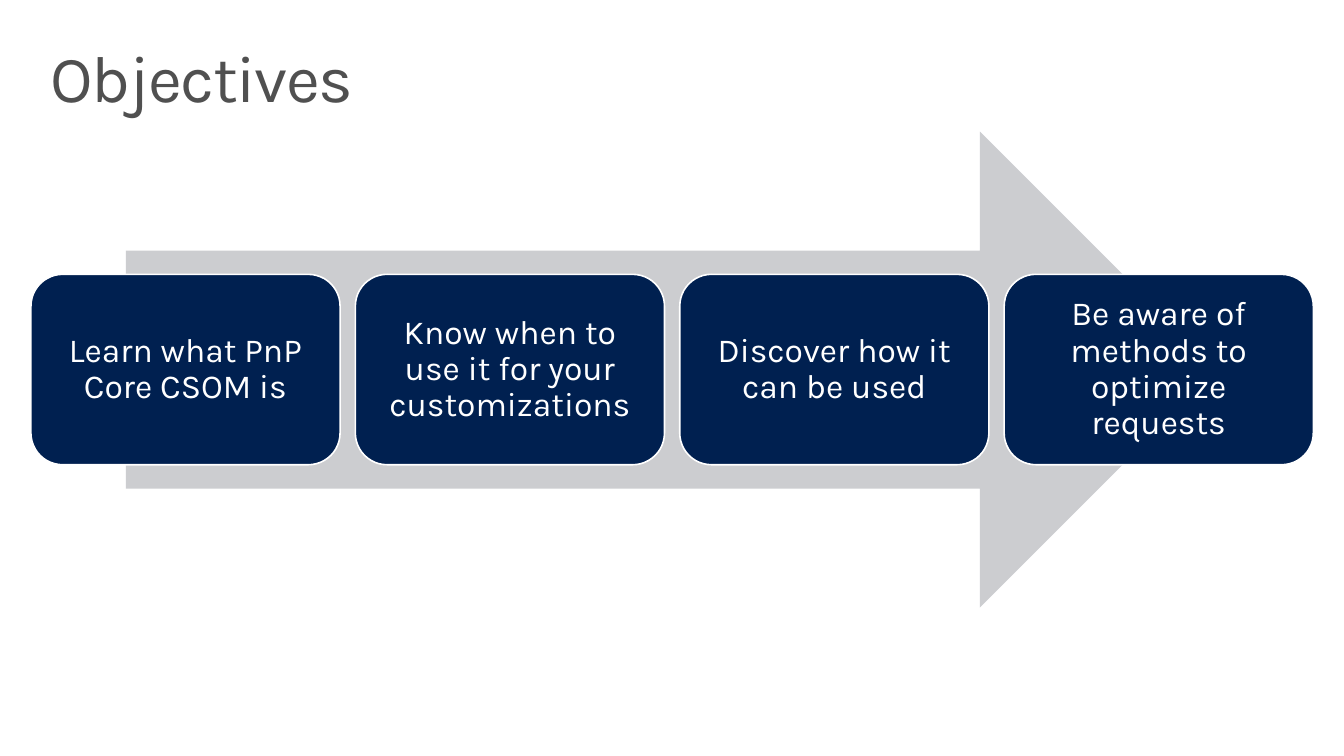
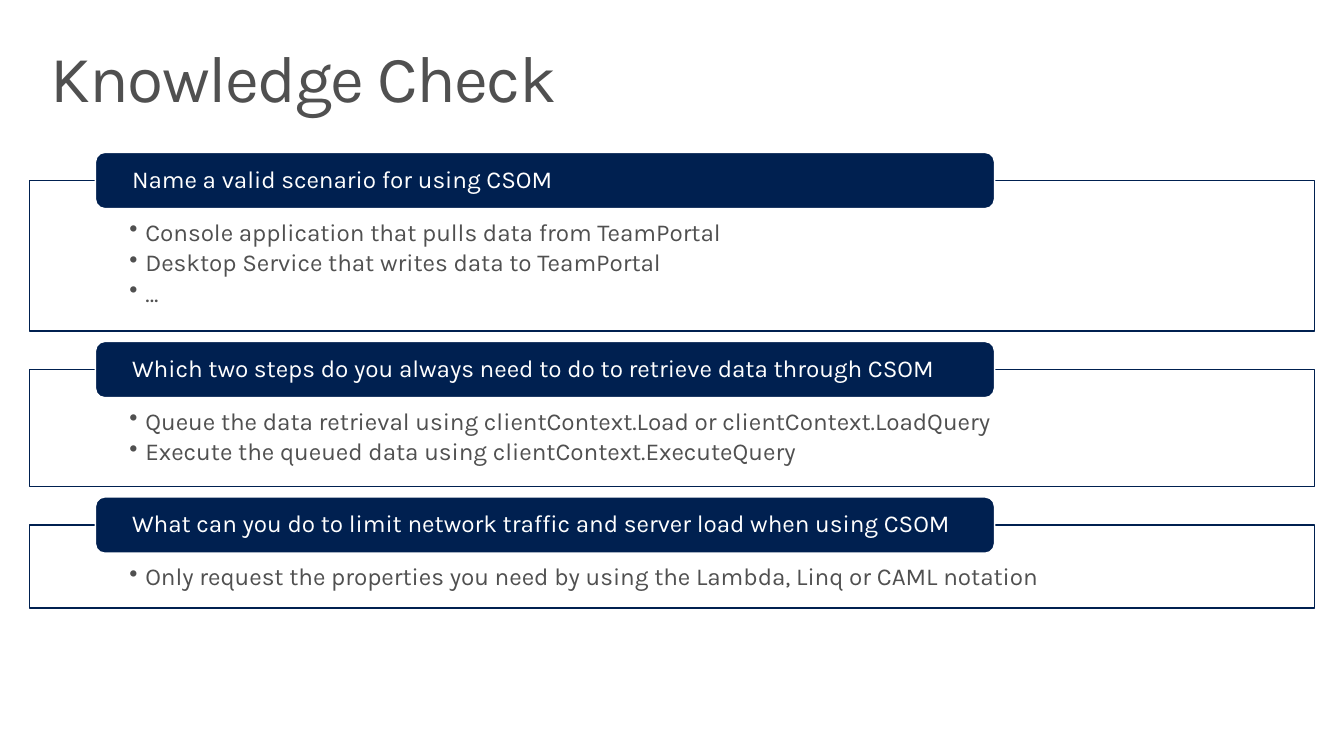
from dataclasses import dataclass

from lxml.etree import SubElement
from pptx import Presentation
from pptx.dml.color import RGBColor
from pptx.enum.shapes import MSO_SHAPE as Shape
from pptx.enum.text import MSO_ANCHOR as Anchor, PP_ALIGN as Align
from pptx.oxml.ns import qn
from pptx.util import Pt


@dataclass(frozen=True)
class Theme:
    navy: RGBColor = RGBColor(0x00, 0x20, 0x50)
    white: RGBColor = RGBColor(0xFF, 0xFF, 0xFF)
    arrow_gray: RGBColor = RGBColor(0xCC, 0xCD, 0xD0)
    text_gray: RGBColor = RGBColor(0x50, 0x50, 0x50)
    font: str = "Karla"
    title_size: float = 35.3
    card_size: float = 18
    body_size: float = 13
    line_width: float = 0.85


theme = Theme()


def add_block(slide, kind, left, top, width, height, fill, line=None):
    block = slide.shapes.add_shape(kind, Pt(left), Pt(top), Pt(width), Pt(height))
    block.shadow.inherit = False
    block.fill.solid()
    block.fill.fore_color.rgb = fill
    if line is None:
        block.line.fill.background()
    else:
        block.line.color.rgb = line
        block.line.width = Pt(theme.line_width)
    return block


def write(block, lines, size, color, insets, anchor=Anchor.MIDDLE,
          align=Align.LEFT, bullet=None, space_after=0):
    frame = block.text_frame
    left, top, right, bottom = map(Pt, insets)
    frame_format = {
        "word_wrap": True, "vertical_anchor": anchor, "margin_left": left,
        "margin_top": top, "margin_right": right, "margin_bottom": bottom,
    }
    for name, value in frame_format.items():
        setattr(frame, name, value)
    for index, line in enumerate(lines):
        paragraph = frame.add_paragraph() if index else frame.paragraphs[0]
        if bullet:
            properties = paragraph._p.get_or_add_pPr()
            properties.set("marL", str(Pt(8.6)))
            properties.set("indent", str(-Pt(8.6)))
            SubElement(properties, qn("a:buChar")).set("char", bullet)
        paragraph.alignment = align
        paragraph.line_spacing = 0.9
        paragraph.space_after = Pt(space_after)
        run = paragraph.add_run()
        run.text = line
        for name, value in {"name": theme.font, "size": Pt(size)}.items():
            setattr(run.font, name, value)
        run.font.color.rgb = color
    return frame


deck = Presentation()
deck.slide_width, deck.slide_height = Pt(720), Pt(405)

slides = []
for heading in ("Objectives", "Knowledge Check"):
    slide = deck.slides.add_slide(deck.slide_layouts[6])
    title = slide.shapes.add_textbox(Pt(15.8), Pt(17.3), Pt(688.4), Pt(53.3))
    title_text = write(title, [heading], theme.title_size, theme.text_gray,
                       (11.5, 7.2, 11.5, 7.2), Anchor.TOP)
    title_text.paragraphs[0].runs[0].font._element.set("spc", "-80")
    slides.append(slide)
objectives_slide, check_slide = slides

add_block(objectives_slide, Shape.RIGHT_ARROW, 67.5, 70.5, 585, 255, theme.arrow_gray)
objectives = [
    "Learn what PnP Core CSOM is",
    "Know when to use it for your customizations",
    "Discover how it can be used",
    "Be aware of methods to optimize requests",
]
for index, objective in enumerate(objectives):
    card = add_block(objectives_slide, Shape.ROUNDED_RECTANGLE,
                     16.6 + index * 173.8, 147, 165.6, 102, theme.navy, theme.white)
    write(card, [objective], theme.card_size, theme.white, (5, 5, 5, 5),
          align=Align.CENTER)

questions = [
    ("Name a valid scenario for using CSOM", 80.6, [
        "Console application that pulls data from TeamPortal",
        "Desktop Service that writes data to TeamPortal",
        "…",
    ]),
    ("Which two steps do you always need to do to retrieve data through CSOM", 62.6, [
        "Queue the data retrieval using clientContext.Load or clientContext.LoadQuery",
        "Execute the queued data using clientContext.ExecuteQuery",
    ]),
    ("What can you do to limit network traffic and server load when using CSOM", 44.6, [
        "Only request the properties you need by using the Lambda, Linq or CAML notation",
    ]),
]
answer_top, answer_gap, bar_height = 96.7, 20.7, 30.2
for question, answer_height, answers in questions:
    answer_box = add_block(check_slide, Shape.RECTANGLE, 15.8, answer_top,
                           688.4, answer_height, theme.white, theme.navy)
    fill_color = answer_box._element.spPr.find(qn("a:solidFill"))[0]
    SubElement(fill_color, qn("a:alpha")).set("val", "90000")
    write(answer_box, answers, theme.body_size, theme.text_gray,
          (53.5, 21.3, 53.5, 7.2), Anchor.TOP, bullet="•", space_after=2.3)
    question_bar = add_block(check_slide, Shape.ROUNDED_RECTANGLE, 51.1,
                             answer_top - bar_height / 2, 481.7, bar_height,
                             theme.navy, theme.white)
    write(question_bar, [question], theme.body_size, theme.white, (18.2, 0, 18.2, 0))
    answer_top += answer_height + answer_gap

deck.save("out.pptx")
